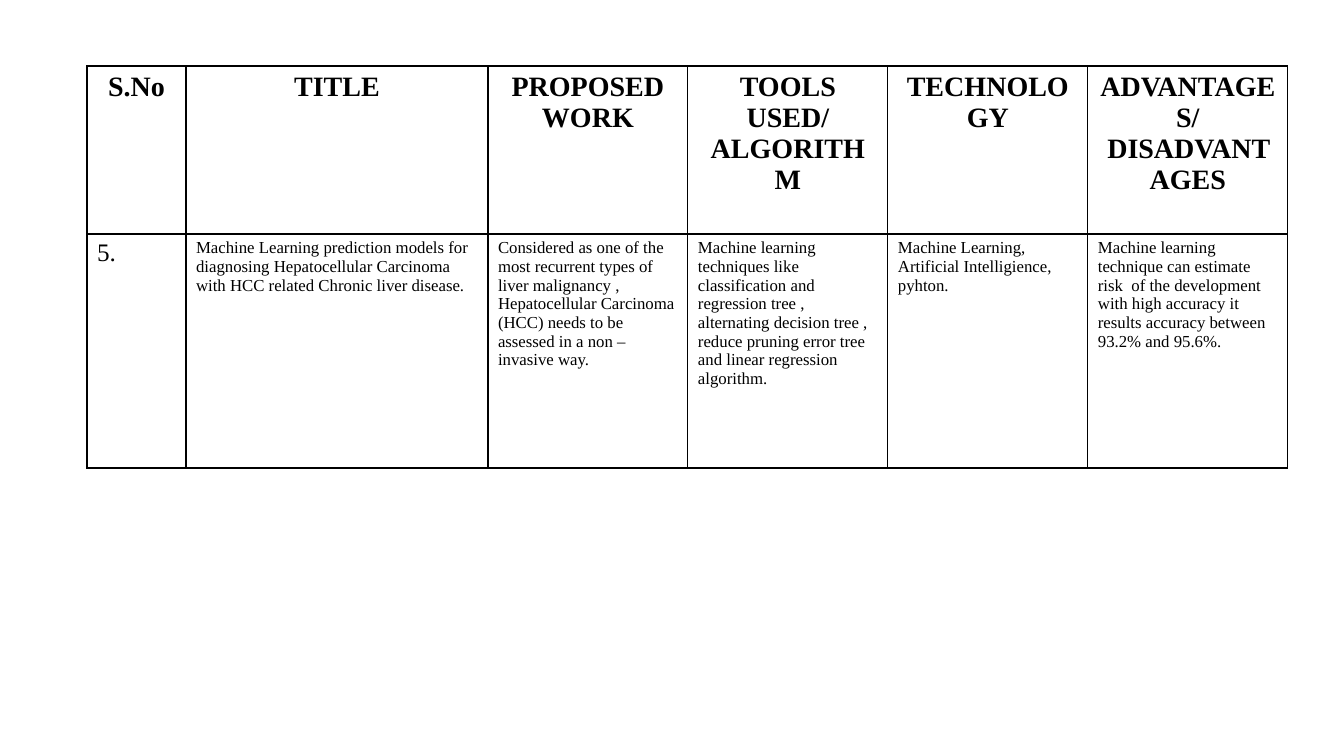
from dataclasses import dataclass

from lxml.etree import SubElement
from pptx import Presentation
from pptx.dml.color import RGBColor
from pptx.enum.text import MSO_ANCHOR as Anchor, PP_ALIGN as Align
from pptx.oxml.ns import qn
from pptx.util import Pt


@dataclass(frozen=True)
class Theme:
    font: str = "Times New Roman"
    ink: str = "000000"
    header_size: int = 20
    number_size: int = 18
    body_size: int = 12
    border_width: int = 1


class SlideBuilder:
    def __init__(self, deck, theme):
        self.theme = theme
        self.page = deck.slides.add_slide(deck.slide_layouts[6])

    @staticmethod
    def px(length):
        return round(length * 914400 / 100.8)

    def border(self, cell):
        properties = cell._tc.get_or_add_tcPr()
        for position, side in enumerate(("lnL", "lnR", "lnT", "lnB")):
            line = SubElement(properties, qn(f"a:{side}"), w=str(Pt(self.theme.border_width)))
            properties.insert(position, line)
            fill = SubElement(line, qn("a:solidFill"))
            SubElement(fill, qn("a:srgbClr"), val=self.theme.ink)

    def label(self, cell, text, size, bold, align):
        cell.vertical_anchor = Anchor.TOP
        cell.text = text
        formats = {"name": self.theme.font, "size": Pt(size), "bold": bold}
        for para in cell.text_frame.paragraphs:
            para.alignment = align
            for span in para.runs:
                for name, value in formats.items():
                    setattr(span.font, name, value)
                span.font.color.rgb = RGBColor.from_string(self.theme.ink)

    def table(self, left, top, widths, heights, rows):
        box = [self.px(n) for n in (left, top, sum(widths), sum(heights))]
        table = self.page.shapes.add_table(len(rows), len(widths), *box).table
        table.first_row = table.horz_banding = False
        for column, width in zip(table.columns, widths):
            column.width = self.px(width)
        for row, height in zip(table.rows, heights):
            row.height = self.px(height)
        for r, texts in enumerate(rows):
            for c, text in enumerate(texts):
                cell = table.cell(r, c)
                cell.fill.background()
                self.border(cell)
                if r == 0:
                    self.label(cell, text, self.theme.header_size, True, Align.CENTER)
                else:
                    size = self.theme.body_size if c else self.theme.number_size
                    self.label(cell, text, size, False, Align.LEFT)


HEADINGS = [
    "S.No",
    "TITLE",
    "PROPOSED WORK",
    "TOOLS USED/\nALGORITHM",
    "TECHNOLOGY",
    "ADVANTAGES/ DISADVANTAGES",
]
STUDY = [
    "5.",
    "Machine Learning prediction models for diagnosing Hepatocellular Carcinoma "
    "with HCC related Chronic liver disease.",
    "Considered as one of the most recurrent types of liver malignancy ,  "
    "Hepatocellular Carcinoma (HCC) needs to be assessed in a non –invasive way.",
    "Machine learning techniques like classification and regression tree , "
    "alternating decision tree , reduce pruning error tree and linear regression algorithm.",
    "Machine Learning,\nArtificial Intelligience,\npyhton.",
    "Machine learning technique can estimate risk  of the development "
    "with high accuracy it results accuracy between 93.2% and 95.6%.",
]


def main():
    deck = Presentation()
    deck.slide_width = SlideBuilder.px(1344)
    deck.slide_height = SlideBuilder.px(756)
    builder = SlideBuilder(deck, Theme())
    builder.table(87, 66, [99, 302] + [200] * 4, [168, 234], [HEADINGS, STUDY])
    deck.save("out.pptx")


if __name__ == "__main__":
    main()
